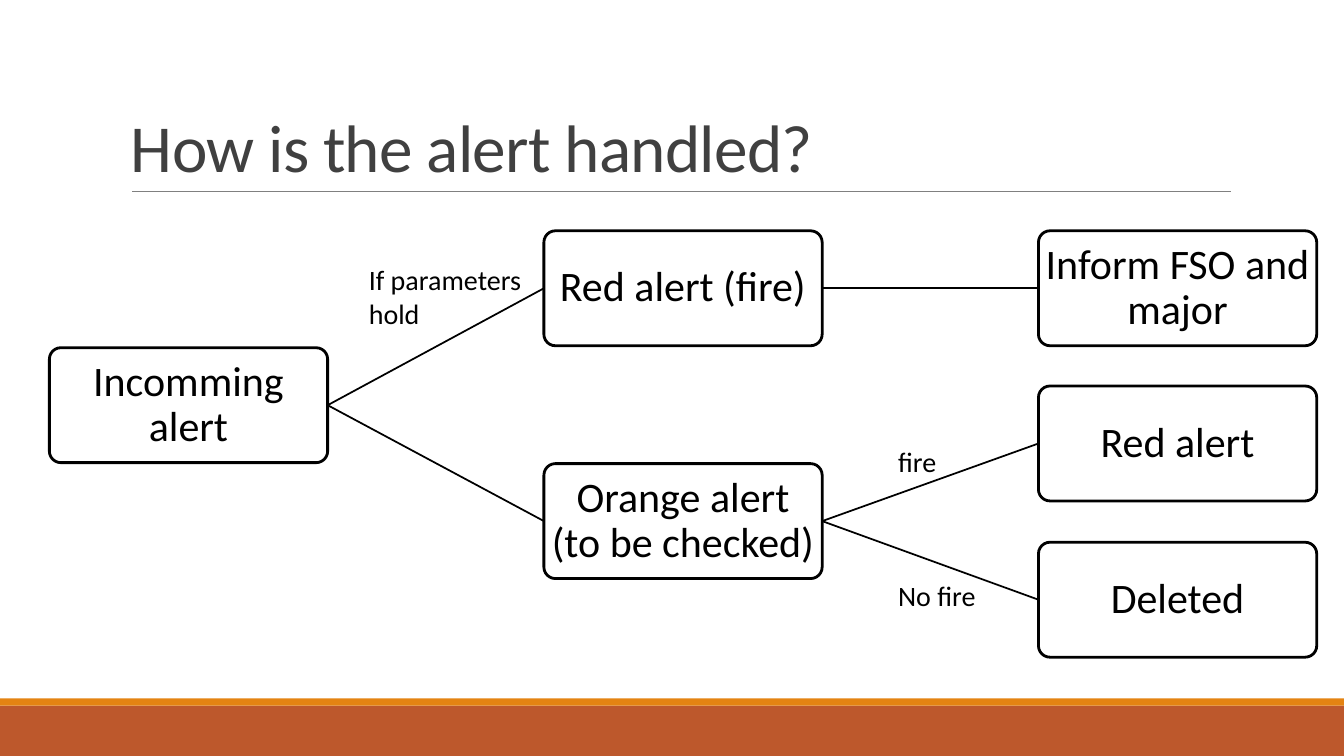
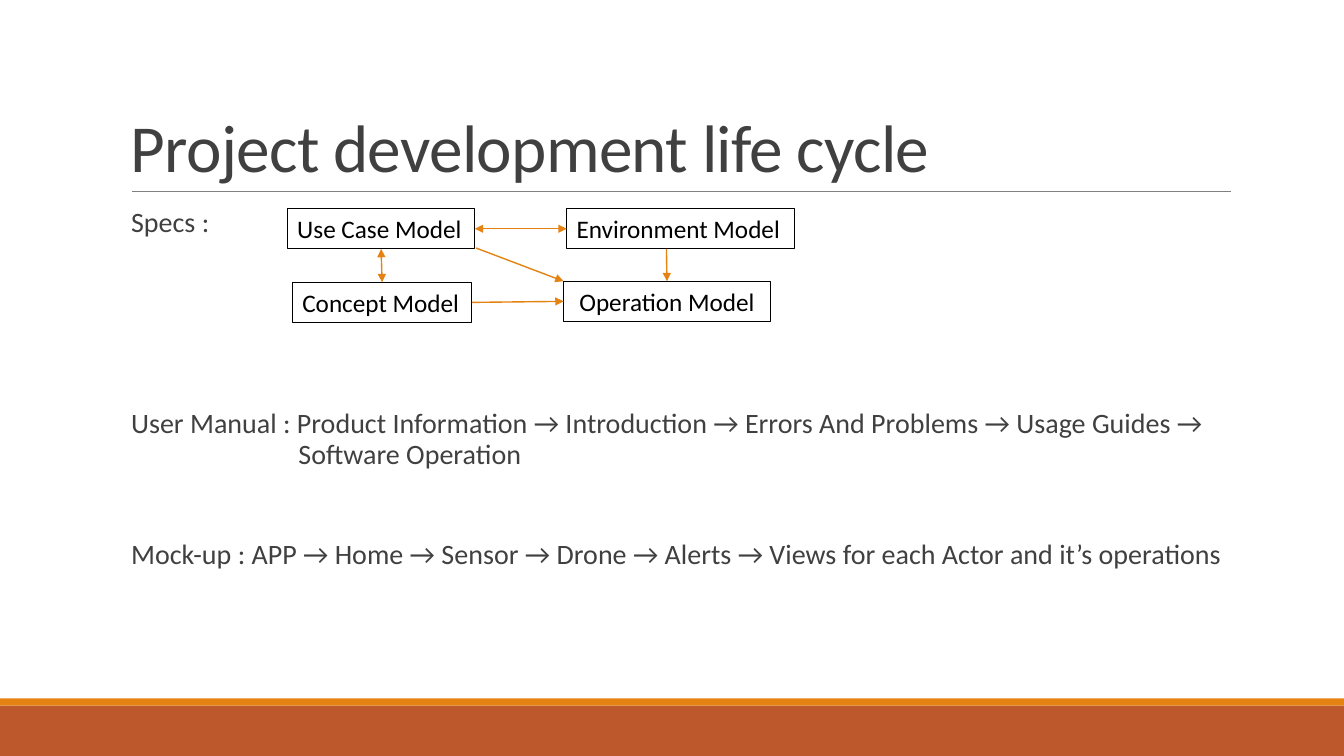
"""Build two slides: an alert-handling tree and a project life cycle."""
from lxml.etree import SubElement
from pptx import Presentation
from pptx.dml.color import RGBColor
from pptx.enum.shapes import MSO_CONNECTOR as Connector, MSO_SHAPE as Shape
from pptx.enum.text import MSO_ANCHOR as Anchor, PP_ALIGN as Align
from pptx.oxml.ns import qn
from pptx.util import Inches, Pt

FONT = "Calibri"
WHITE, BLACK, DARK, GRAY = "FFFFFF", "000000", "404040", "808080"
ORANGE, RUST = "E48312", "BD582C"
TOP, LEFT, BOTTOM, RIGHT = range(4)
rgb = RGBColor.from_string


def write_text(shape, text, size=20, color=BLACK, align=Align.LEFT, anchor=Anchor.TOP,
               line_spacing=1.0, margin=None, tracking=0):
    """Fill a shape with formatted text, one paragraph per line."""
    frame = shape.text_frame
    frame.word_wrap = True
    frame.vertical_anchor = anchor
    if margin is not None:
        frame.margin_left = frame.margin_right = Inches(margin)
        frame.margin_top = frame.margin_bottom = Inches(margin)
    frame.text = text
    for paragraph in frame.paragraphs:
        paragraph.alignment = align
        paragraph.line_spacing = line_spacing
        for run in paragraph.runs:
            run.font.name = FONT
            run.font.size = Pt(size)
            run.font.color.rgb = rgb(color)
            if tracking:
                run.font._element.set("spc", str(tracking))


def add_line(slide, color, width, points=(0, 0, 0, 0), begin=None, end=None, arrows=()):
    """Draw a line between points, or between (shape, side) pairs."""
    connector = slide.shapes.add_connector(Connector.STRAIGHT, *map(Inches, points))
    if begin:
        connector.begin_connect(*begin)
    if end:
        connector.end_connect(*end)
    connector.line.color.rgb = rgb(color)
    connector.line.width = Pt(width)
    for arrow in arrows:
        SubElement(connector.line._get_or_add_ln(), qn("a:" + arrow)).set("type", "triangle")
    SubElement(connector._element.spPr, qn("a:effectLst"))


presentation = Presentation()
presentation.slide_width = Inches(13.33)
presentation.slide_height = Inches(7.5)

slides = []
for title in ("How is the alert handled?", "Project development life cycle"):
    slide = presentation.slides.add_slide(presentation.slide_layouts[6])
    for top, height, color in ((7, 0.5, RUST), (6.93, 0.07, ORANGE)):
        band = slide.shapes.add_shape(Shape.RECTANGLE, 0, Inches(top),
                                      presentation.slide_width, Inches(height))
        band.shadow.inherit = False
        band.fill.solid()
        band.fill.fore_color.rgb = rgb(color)
        band.line.fill.background()
    add_line(slide, GRAY, 0.5, (1.31, 1.9, 12.21, 1.9))
    title_box = slide.shapes.add_textbox(Inches(1.2), Inches(0.31), Inches(11), Inches(1.59))
    write_text(title_box, title, size=48, color=DARK, anchor=Anchor.BOTTOM,
               line_spacing=0.85, tracking=-50)
    slides.append(slide)
alert_slide, cycle_slide = slides

COLUMN_LEFT, COLUMN_STEP = 0.49, 4.905
alert_nodes = {}
for name, column, top, text in (
    ("incoming", 0, 3.45, "Incomming alert"),
    ("red", 1, 2.29, "Red alert (fire)"),
    ("orange", 1, 4.6, "Orange alert (to be checked)"),
    ("inform", 2, 2.29, "Inform FSO and major"),
    ("confirmed", 2, 3.83, "Red alert"),
    ("deleted", 2, 5.38, "Deleted"),
):
    node = alert_slide.shapes.add_shape(
        Shape.ROUNDED_RECTANGLE, Inches(COLUMN_LEFT + column * COLUMN_STEP), Inches(top),
        Inches(2.76), Inches(1.14))
    node.adjustments[0] = 0.1
    node.shadow.inherit = False
    node.fill.solid()
    node.fill.fore_color.rgb = rgb(WHITE)
    node.line.color.rgb = rgb(BLACK)
    node.line.width = Pt(2)
    write_text(node, text, size=30, align=Align.CENTER, anchor=Anchor.MIDDLE,
               line_spacing=0.9, margin=0.02)
    alert_nodes[name] = node

for parent, child in (("incoming", "red"), ("incoming", "orange"), ("red", "inform"),
                      ("orange", "confirmed"), ("orange", "deleted")):
    add_line(alert_slide, BLACK, 1.25, begin=(alert_nodes[parent], RIGHT),
             end=(alert_nodes[child], LEFT))

for left, top, height, text in ((3.56, 2.56, 0.77, "If parameters hold"),
                                (8.81, 4.36, 0.44, "fire"),
                                (8.81, 5.69, 0.44, "No fire")):
    label = alert_slide.shapes.add_textbox(Inches(left), Inches(top), Inches(1.74), Inches(height))
    write_text(label, text)

body = cycle_slide.shapes.add_textbox(Inches(1.2), Inches(2.02), Inches(11.28), Inches(4.4))
write_text(body, "Specs :\n"
           "User Manual : Product Information → Introduction → Errors And Problems → "
           "Usage Guides →\vSoftware Operation\n"
           "Mock-up : APP → Home → Sensor → Drone → Alerts → "
           "Views for each Actor and it’s operations",
           color=DARK, line_spacing=0.9)
body.text_frame.margin_left = body.text_frame.margin_right = 0
for paragraph, space_before, hanging in zip(body.text_frame.paragraphs, (0, 120, 48), (0, 1.66, 0)):
    paragraph.space_before = Pt(space_before)
    paragraph.space_after = Pt(2)
    properties = paragraph._p.get_or_add_pPr()
    properties.set("marL", str(Inches(0.1 + hanging)))
    properties.set("indent", str(Inches(-hanging)))

models = {}
for name, left, top, width, align in (
    ("Use Case", 2.85, 2.07, 1.86, Align.LEFT),
    ("Environment", 5.62, 2.07, 2.26, Align.LEFT),
    ("Concept", 2.9, 2.8, 1.78, Align.LEFT),
    ("Operation", 5.59, 2.79, 2.05, Align.CENTER),
):
    model = cycle_slide.shapes.add_shape(Shape.RECTANGLE, Inches(left), Inches(top),
                                         Inches(width), Inches(0.4))
    model.shadow.inherit = False
    model.fill.background()
    model.line.color.rgb = rgb(BLACK)
    model.line.width = Pt(0.75)
    write_text(model, name + " Model", size=18, align=align)
    models[name] = model

both_ends, far_end = ("headEnd", "tailEnd"), ("tailEnd",)
add_line(cycle_slide, ORANGE, 1, begin=(models["Use Case"], RIGHT),
         end=(models["Environment"], LEFT), arrows=both_ends)
add_line(cycle_slide, ORANGE, 1, begin=(models["Concept"], TOP),
         end=(models["Use Case"], BOTTOM), arrows=both_ends)
add_line(cycle_slide, ORANGE, 1, begin=(models["Concept"], RIGHT),
         end=(models["Operation"], LEFT), arrows=far_end)
add_line(cycle_slide, ORANGE, 1, (6.61, 2.47, 6.61, 2.79),
         end=(models["Operation"], TOP), arrows=far_end)
add_line(cycle_slide, ORANGE, 1, (4.72, 2.46, 5.59, 2.79), arrows=far_end)

presentation.save("out.pptx")
